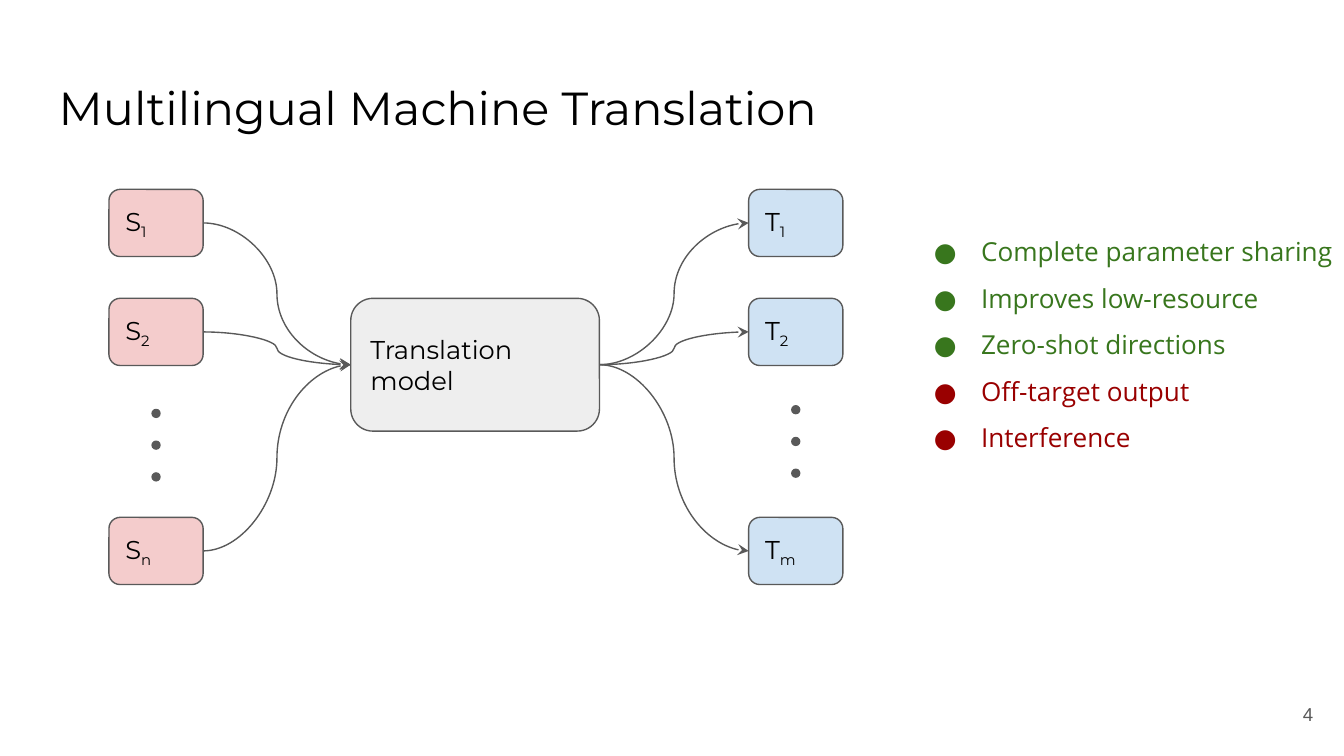
from lxml import etree
from pptx import Presentation
from pptx.dml.color import RGBColor
from pptx.enum.shapes import MSO_CONNECTOR, MSO_SHAPE
from pptx.enum.text import MSO_ANCHOR, MSO_AUTO_SIZE, PP_ALIGN
from pptx.oxml.ns import qn
from pptx.util import Cm, Pt

CURVE = MSO_CONNECTOR.CURVE
ROUNDED, OVAL = MSO_SHAPE.ROUNDED_RECTANGLE, MSO_SHAPE.OVAL
TOP, MIDDLE = MSO_ANCHOR.TOP, MSO_ANCHOR.MIDDLE
LEFT, RIGHT = PP_ALIGN.LEFT, PP_ALIGN.RIGHT
NO_AUTOFIT = MSO_AUTO_SIZE.NONE

BLACK = RGBColor(0x00, 0x00, 0x00)
GRAY = RGBColor(0x59, 0x59, 0x59)
LIGHT_GRAY = RGBColor(0xEE, 0xEE, 0xEE)
PINK = RGBColor(0xF4, 0xCC, 0xCC)
BLUE = RGBColor(0xCF, 0xE2, 0xF3)
GREEN = RGBColor(0x38, 0x76, 0x1D)
RED = RGBColor(0x99, 0x00, 0x00)

LABEL_FONT, LIST_FONT, NUMBER_FONT = "Montserrat", "Open Sans", "Arial"
LABEL_SIZE = 13.8
LINE_WIDTH = Pt(0.75)

BOX_WIDTH, BOX_HEIGHT = 1.78, 1.27
BOX_TOPS = (3.58, 5.64, 9.78)
SOURCE_LEFT, TARGET_LEFT = 2.06, 14.15
DOT_SIZE, DOT_STEP = 0.15, 0.6
LEFT_SITE, RIGHT_SITE = 1, 3

POINTS = [
    ("Complete parameter sharing", GREEN),
    ("Improves low-resource", GREEN),
    ("Zero-shot directions", GREEN),
    ("Off-target output", RED),
    ("Interference", RED),
]


def add_text(paragraph, text, font=LABEL_FONT, size=LABEL_SIZE, color=BLACK,
             align=LEFT, subscript=False):
    paragraph.alignment = align
    run = paragraph.add_run()
    run.text = text
    run.font.name = font
    run.font.size = Pt(size)
    run.font.color.rgb = color
    if subscript:
        run.font._element.set("baseline", "-25000")


def set_frame(shape, anchor):
    frame = shape.text_frame
    frame.word_wrap = True
    frame.auto_size = NO_AUTOFIT
    frame.vertical_anchor = anchor
    frame.margin_left = frame.margin_right = Cm(0.25)
    frame.margin_top = frame.margin_bottom = Cm(0.25)
    return frame


def place(shape, left, top, width, height):
    shape.left, shape.top = Cm(left), Cm(top)
    shape.width, shape.height = Cm(width), Cm(height)


def add_bullet(paragraph, color):
    properties = paragraph._p.get_or_add_pPr()
    properties.set("marL", str(Cm(1.27)))
    properties.set("indent", str(-Cm(0.89)))
    bullet_color = etree.SubElement(properties, qn("a:buClr"))
    etree.SubElement(bullet_color, qn("a:srgbClr"), val=str(color))
    etree.SubElement(properties, qn("a:buFont"), typeface=LIST_FONT)
    etree.SubElement(properties, qn("a:buChar"), char="●")


def add_title(slide):
    title = slide.shapes.title
    place(title, 0.86, 1.24, 23.67, 1.6)
    add_text(set_frame(title, TOP).paragraphs[0],
             "Multilingual Machine Translation", size=24.8)


def add_points(slide):
    body = slide.placeholders[1]
    place(body, 17.02, 4.27, 9.25, 7.26)
    frame = set_frame(body, TOP)
    for index, (point, color) in enumerate(POINTS):
        paragraph = frame.add_paragraph() if index else frame.paragraphs[0]
        paragraph.line_spacing = 0.89
        paragraph.space_before = Pt(10 if index else 0)
        add_bullet(paragraph, color)
        add_text(paragraph, point, font=LIST_FONT, size=14, color=color)


def add_page_number(slide):
    number = slide.shapes.add_textbox(Cm(23.55), Cm(12.95), Cm(1.52), Cm(1.09))
    add_text(set_frame(number, MIDDLE).paragraphs[0], "4",
             font=NUMBER_FONT, size=10, color=GRAY, align=RIGHT)


def add_outlined(slide, kind, left, top, width, height, fill):
    shape = slide.shapes.add_shape(kind, Cm(left), Cm(top), Cm(width), Cm(height))
    shape.shadow.inherit = False
    shape.fill.solid()
    shape.fill.fore_color.rgb = fill
    shape.line.color.rgb = GRAY
    shape.line.width = LINE_WIDTH
    return shape


def add_box(slide, left, top, width, height, fill, label, index=""):
    """Add a rounded box whose label may carry a subscript index."""
    box = add_outlined(slide, ROUNDED, left, top, width, height, fill)
    paragraph = set_frame(box, MIDDLE).paragraphs[0]
    add_text(paragraph, label)
    if index:
        add_text(paragraph, index, subscript=True)
    return box


def add_language_column(slide, left, fill, letter, indices, dots_top):
    """Add a column of language boxes with dots before the last one."""
    dot_left = left + (BOX_WIDTH - DOT_SIZE) / 2
    for step in range(3):
        add_outlined(slide, OVAL, dot_left, dots_top + step * DOT_STEP,
                     DOT_SIZE, DOT_SIZE, GRAY)
    return [add_box(slide, left, top, BOX_WIDTH, BOX_HEIGHT, fill, letter, index)
            for top, index in zip(BOX_TOPS, indices)]


def add_arrow(slide, start, end):
    """Join the right side of start to the left side of end."""
    arrow = slide.shapes.add_connector(CURVE, 0, 0, 0, 0)
    arrow.begin_connect(start, RIGHT_SITE)
    arrow.end_connect(end, LEFT_SITE)
    arrow.line.color.rgb = GRAY
    arrow.line.width = LINE_WIDTH
    etree.SubElement(arrow.line._get_or_add_ln(), qn("a:tailEnd"), type="stealth")
    etree.SubElement(arrow._element.spPr, qn("a:effectLst"))


def main():
    presentation = Presentation()
    presentation.slide_width, presentation.slide_height = Cm(25.4), Cm(14.29)
    slide = presentation.slides.add_slide(presentation.slide_layouts[1])

    add_title(slide)
    add_page_number(slide)
    add_points(slide)

    model = add_box(slide, 6.63, 5.64, 4.7, 2.51, LIGHT_GRAY, "Translation model")
    sources = add_language_column(slide, SOURCE_LEFT, PINK, "S", "12n", 7.74)
    targets = add_language_column(slide, TARGET_LEFT, BLUE, "T", "12m", 7.67)
    for source in sources:
        add_arrow(slide, source, model)
    for target in targets:
        add_arrow(slide, model, target)

    presentation.save("out.pptx")


if __name__ == "__main__":
    main()
